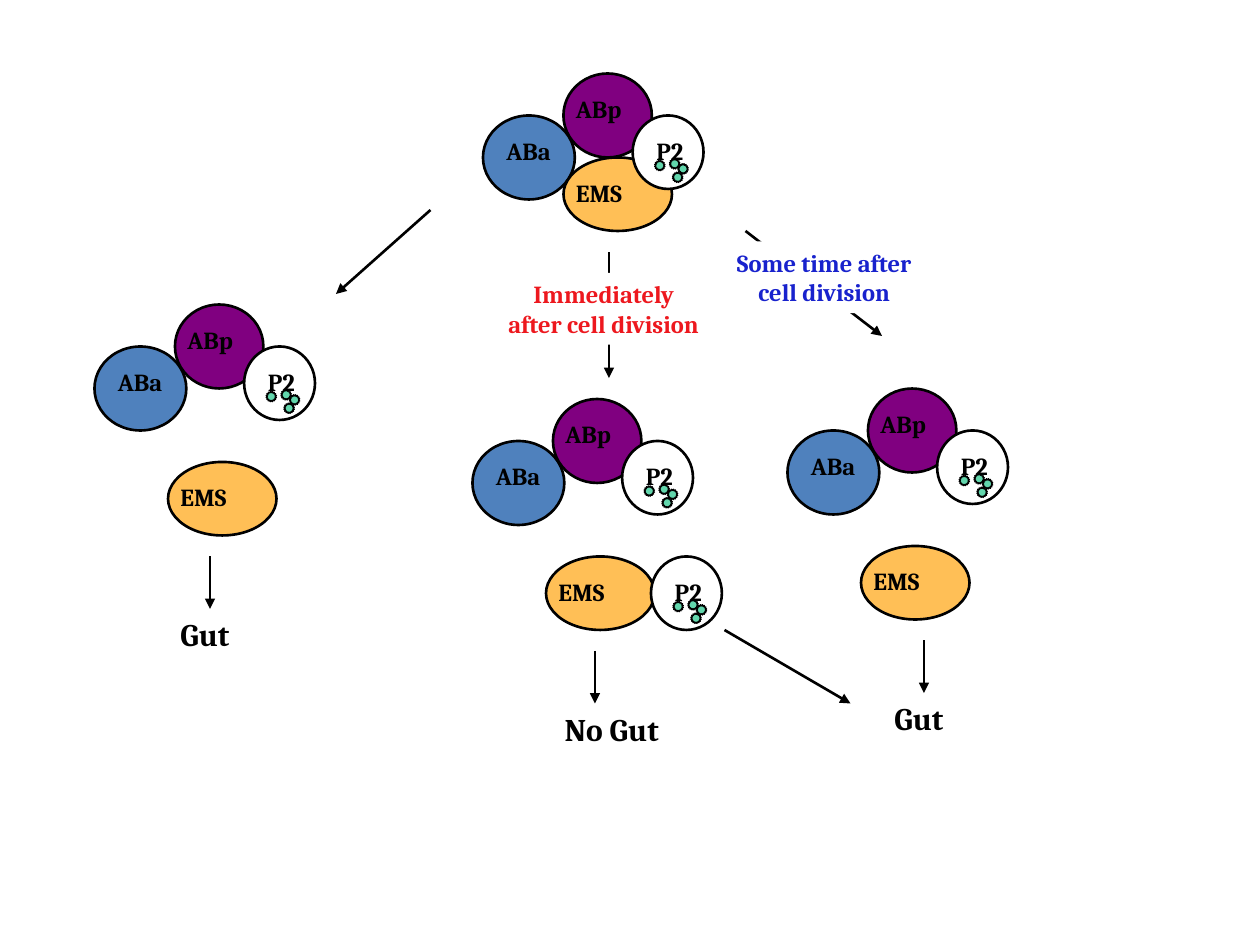
import pptx
import pptx.util
import pptx.dml.color
import pptx.enum.shapes
import pptx.enum.text
import pptx.oxml.ns
from lxml import etree

Pt = pptx.util.Pt
RGBColor = pptx.dml.color.RGBColor
SHAPE = pptx.enum.shapes.MSO_SHAPE

BLACK = RGBColor(0x00, 0x00, 0x00)
WHITE = RGBColor(0xFF, 0xFF, 0xFF)
BLUE = RGBColor(0x4F, 0x81, 0xBD)
PURPLE = RGBColor(0x80, 0x00, 0x80)
ORANGE = RGBColor(0xFF, 0xBF, 0x56)
GREEN = RGBColor(0x62, 0xD6, 0xAC)
RED_TEXT = RGBColor(0xED, 0x18, 0x1E)
BLUE_TEXT = RGBColor(0x18, 0x22, 0xCD)

# Cell name: fill, cell size, label offset in the cell, label width
CELLS = {
    "ABa": (BLUE, (52.5, 48), (6.25, 8), 41),
    "ABp": (PURPLE, (50.5, 48), (0, 8), 42),
    "EMS": (ORANGE, (62, 42), (0, 8), 44.5),
    "P2": (WHITE, (40.5, 42), (6.5, 8), 30),
}
# Cell places within an embryo
PLACES = {"ABa": (0, 24), "ABp": (46, 0), "P2": (85.5, 24)}
EMS_ATTACHED = (46, 48)
EMS_ISOLATED = (42, 90)
# P granule places within P2
GRANULES = [(21, 24.6), (25.8, 27.5), (12.5, 25.6), (22.7, 32.3)]
FATE_TOP = 144


def add_figure(shapes, preset, box, fill, line_width=None):
    figure = shapes.add_shape(preset, *map(Pt, box))
    figure.shadow.inherit = False
    figure.fill.solid()
    figure.fill.fore_color.rgb = fill
    if line_width:
        figure.line.color.rgb = BLACK
        figure.line.width = Pt(line_width)
    else:
        figure.line.fill.background()
    return figure


def write(frame, wording, size, color=BLACK, wrap=False, align=None):
    frame.word_wrap = wrap
    frame.auto_size = pptx.enum.text.MSO_AUTO_SIZE.SHAPE_TO_FIT_TEXT
    frame.vertical_anchor = pptx.enum.text.MSO_ANCHOR.TOP
    paragraph = frame.paragraphs[0]
    paragraph.alignment = align
    run = paragraph.add_run()
    run.text = wording
    look = {"name": "Cambria", "size": Pt(size), "bold": True}
    for attribute, value in look.items():
        setattr(run.font, attribute, value)
    run.font.color.rgb = color


def add_label(shapes, wording, box, size=14):
    label = shapes.add_textbox(*map(Pt, box))
    write(label.text_frame, wording, size)


def add_arrow(shapes, start, end):
    arrow = shapes.add_connector(
        pptx.enum.shapes.MSO_CONNECTOR.STRAIGHT, *map(Pt, start + end))
    arrow.line.color.rgb = BLACK
    arrow.line.width = Pt(1.5)
    qn = pptx.oxml.ns.qn
    etree.SubElement(arrow.line._get_or_add_ln(), qn("a:tailEnd"), type="triangle")
    etree.SubElement(arrow._element.spPr, qn("a:effectLst"))


def add_cell(shapes, name, left, top):
    fill, size, (label_x, label_y), label_width = CELLS[name]
    add_figure(shapes, SHAPE.OVAL, (left, top, *size), fill, 1.5)
    add_label(shapes, name, (left + label_x, top + label_y, label_width, 24))
    if name == "P2":
        for x, y in GRANULES:
            granule = add_figure(shapes, SHAPE.STAR_16_POINT,
                                 (left + x, top + y, 6, 6), GREEN, 0.75)
            granule.rotation = 124.2


def add_embryo(slide, left, top, ems_place):
    shapes = slide.shapes.add_group_shape().shapes
    places = {**PLACES, "EMS": ems_place}
    for name in CELLS:
        x, y = places[name]
        add_cell(shapes, name, left + x, top + y)


def add_fate(slide, wording, left, top, width, arrow_x):
    shapes = slide.shapes.add_group_shape().shapes
    add_arrow(shapes, (left + arrow_x, top), (left + arrow_x, top + 30))
    add_label(shapes, wording, (left, top + 30, width, 29), 18)


def add_timing(slide, wording, left, top, color):
    timing = add_figure(slide.shapes, SHAPE.RECTANGLE, (left, top, 126, 41), WHITE)
    write(timing.text_frame, wording, 14, color, True, pptx.enum.text.PP_ALIGN.CENTER)


def main():
    presentation = pptx.Presentation()
    presentation.slide_width = Pt(720)
    presentation.slide_height = Pt(540)
    slide = presentation.slides.add_slide(presentation.slide_layouts[6])

    # Intact four-cell embryo
    add_embryo(slide, 276, 42, EMS_ATTACHED)

    # Embryos with EMS isolated, and what EMS becomes
    experiments = [
        (54, 174, "Gut", 42, 44.5, 24),
        (270, 228, "No Gut", 45.5, 71, 24.5),
        (450, 222, "Gut", 54, 44.5, 24),
    ]
    for left, top, fate, fate_x, width, arrow_x in experiments:
        add_embryo(slide, left, top, EMS_ISOLATED)
        add_fate(slide, fate, left + fate_x, top + FATE_TOP, width, arrow_x)

    # Arrows from the intact embryo, with the time of isolation over them
    for start, end in [((246, 120), (192, 168)),
                       ((348, 144), (348, 216)),
                       ((426, 132), (504, 192))]:
        add_arrow(slide.shapes, start, end)
    add_timing(slide, "Immediately after cell division", 282, 156, RED_TEXT)
    add_timing(slide, "Some time after cell division", 408, 138, BLUE_TEXT)

    # P2 put back in contact with EMS
    add_cell(slide.shapes.add_group_shape().shapes, "P2", 372, 318)
    add_arrow(slide.shapes, (414, 360), (486, 402))

    presentation.save("out.pptx")


if __name__ == "__main__":
    main()
